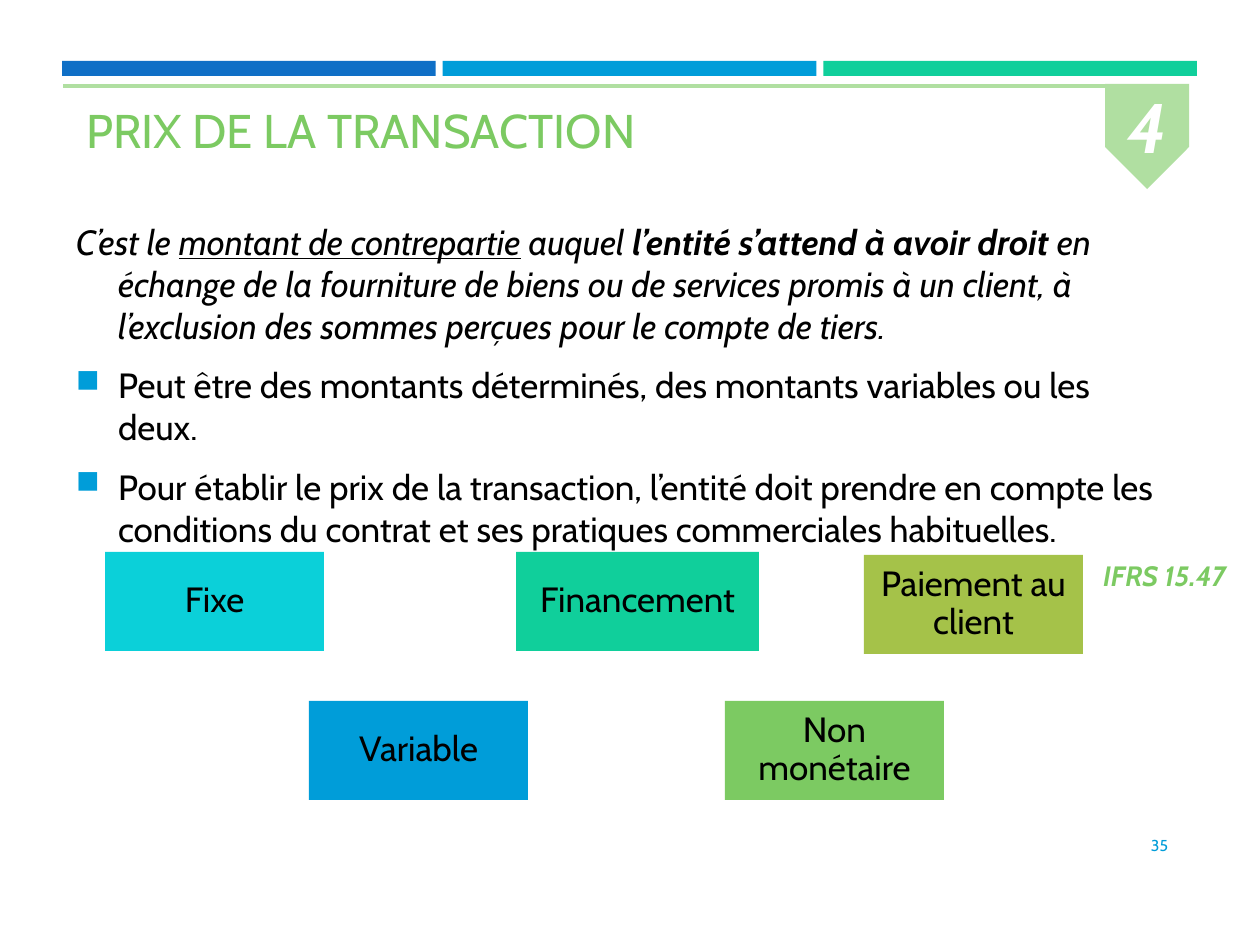
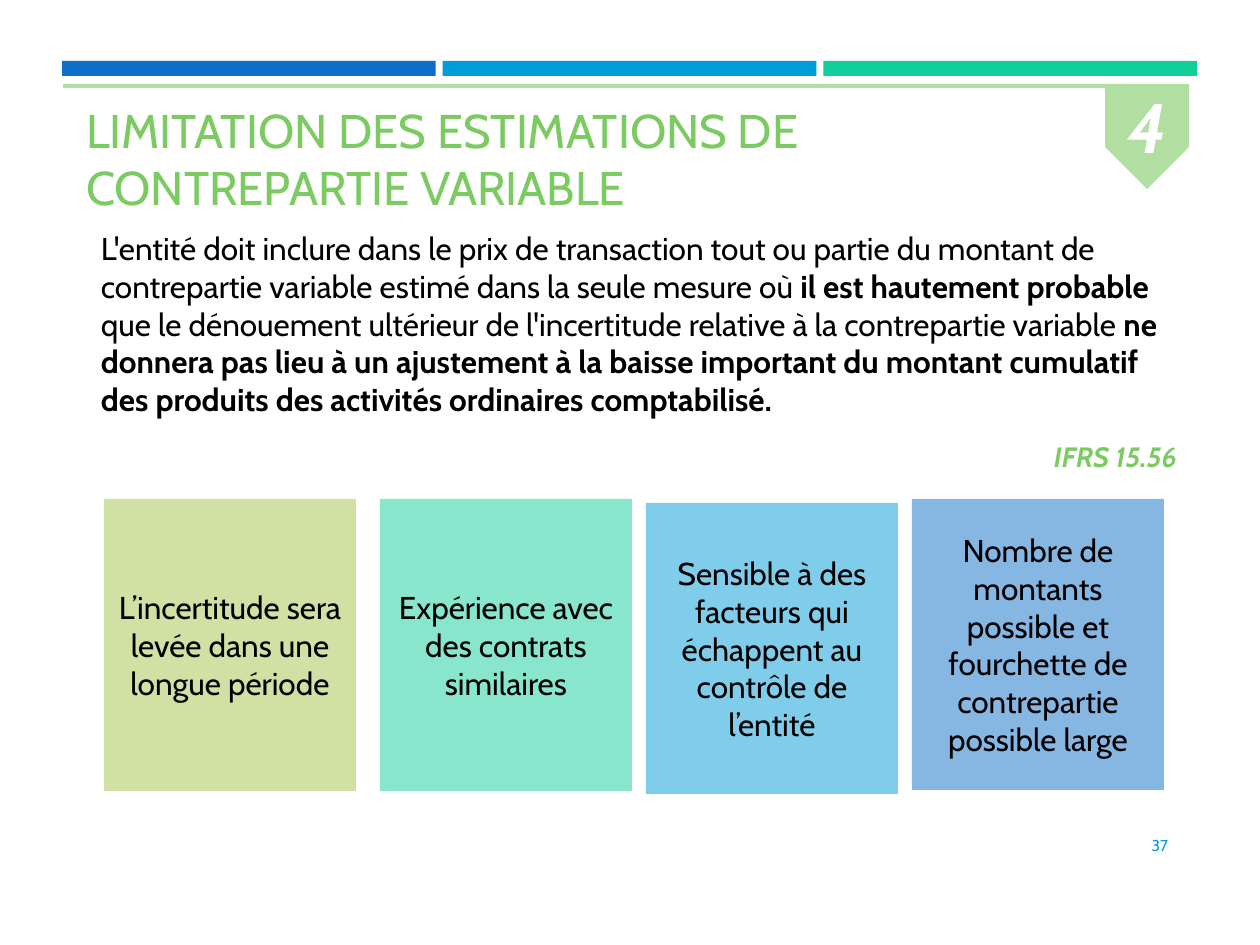
from dataclasses import dataclass
from lxml import etree
from pptx import Presentation
from pptx import util as u
from pptx.dml import color
from pptx.enum import shapes, text
from pptx.oxml import ns


@dataclass(frozen=True)
class Theme:
    font: str = "Cabin"
    black: str = "000000"
    white: str = "FFFFFF"
    navy: str = "0F6FC6"
    blue: str = "009DD9"
    mint: str = "10CF9B"
    cyan: str = "0BD0D9"
    olive: str = "A5C249"
    green: str = "7CCA62"
    pale: str = "B0DFA1"
    title: int = 27
    body: int = 20
    card: int = 18
    cite: int = 16
    badge: int = 40
    page: int = 9


T = Theme()
MID = text.MSO_ANCHOR.MIDDLE
TOP = text.MSO_ANCHOR.TOP
LEFT, CENTER, RIGHT = text.PP_ALIGN.LEFT, text.PP_ALIGN.CENTER, text.PP_ALIGN.RIGHT


def px(n):
    return u.Emu(round(n * 914400 / 126))


def rgb(hue):
    return color.RGBColor.from_string(hue)


def sub(node, tag, **attrs):
    return etree.SubElement(node, ns.qn(tag), attrs)


def write(shape, paras, size=T.body, hue=T.black, align=LEFT, anchor=TOP,
          pad=(13, 6), bold=False, italic=False, line=None, before=0, after=0,
          hang=0, bullets=()):
    frame = shape.text_frame
    frame.word_wrap = True
    frame.vertical_anchor = anchor
    frame.margin_left = frame.margin_right = px(pad[0])
    frame.margin_top = frame.margin_bottom = px(pad[1])
    paras = [paras] if isinstance(paras, str) else paras
    for i, runs in enumerate(paras):
        para = frame.add_paragraph() if i else frame.paragraphs[0]
        props = para._p.get_or_add_pPr()
        if hang:
            props.set("marL", str(px(hang)))
            props.set("indent", str(-px(hang)))
        if i in bullets:
            sub(sub(props, "a:buClr"), "a:srgbClr", val=T.blue)
            sub(props, "a:buSzPct", val="92000")
            sub(props, "a:buChar", char="■")
        para.alignment = align
        para.space_after = u.Pt(after)
        if i:
            para.space_before = u.Pt(before)
        if line:
            para.line_spacing = line
        for words, style in [(runs, "")] if isinstance(runs, str) else runs:
            run = para.add_run()
            run.text = words
            font = run.font
            font.name, font.size = T.font, u.Pt(size)
            font.color.rgb = rgb(hue)
            font.bold = bold or "b" in style
            font.italic = italic or "i" in style
            font.underline = "u" in style


def label(slide, box, paras, **form):
    write(slide.shapes.add_textbox(*map(px, box)), paras, **form)


def block(slide, box, hue, kind=shapes.MSO_SHAPE.RECTANGLE, alpha=None):
    shape = slide.shapes.add_shape(kind, *map(px, box))
    shape.shadow.inherit = False
    shape.fill.solid()
    shape.fill.fore_color.rgb = rgb(hue)
    shape.line.fill.background()
    if alpha:
        fill = shape._element.spPr.find(ns.qn("a:solidFill"))
        sub(fill[0], "a:alpha", val=str(alpha * 1000))
    return shape


def card(slide, box, hue, words, alpha=None, **form):
    write(block(slide, box, hue, alpha=alpha), words,
          align=CENTER, anchor=MID, **form)


def bands(slide, box):
    left, top, wide, high = box
    gap = 7
    each = (wide - 2 * gap) / 3
    for i, hue in enumerate((T.navy, T.blue, T.mint)):
        block(slide, (left + i * (each + gap), top, each, high), hue)


def badge(slide, box, step):
    left, top, wide, high = box
    shape = block(slide, (left + (wide - high) / 2, top + (high - wide) / 2, high, wide),
                  T.pale, shapes.MSO_SHAPE.PENTAGON)
    shape.rotation = 90
    label(slide, (left, top, wide, wide), step, size=T.badge, hue=T.white,
          align=CENTER, pad=(0, 0), bold=True, italic=True)


def rule(slide, left, top, wide):
    line = slide.shapes.add_connector(
        shapes.MSO_CONNECTOR.STRAIGHT, px(left), px(top), px(left + wide), px(top))
    line.line.color.rgb = rgb(T.pale)
    line.line.width = u.Pt(2.25)
    sub(line._element.spPr, "a:effectLst")


def base(deck, title, page):
    slide = deck.slides.add_slide(deck.slide_layouts[6])
    bands(slide, (62, 61, 1135, 15))
    label(slide, (73, 95, 1014, 95), title, size=T.title, hue=T.green)
    badge(slide, (1105, 84, 84, 105), "4")
    rule(slide, 63, 86, 1084)
    label(slide, (1075, 820, 106, 50), page, size=T.page, hue=T.blue,
          align=RIGHT, anchor=MID)
    return slide


def cite(slide, left, top, words):
    label(slide, (left, top, 169, 53), words, size=T.cite, hue=T.green,
          align=CENTER, anchor=MID, bold=True, italic=True)


def price(deck):
    slide = base(deck, "PRIX DE LA TRANSACTION", "35")
    label(slide, (63, 214, 1125, 510), [
        [("C’est le ", "i"), ("montant de contrepartie", "iu"), (" auquel ", "i"),
         ("l’entité s’attend à avoir droit", "ib"),
         (" en échange de la fourniture de biens ou de services promis à un client, "
          "à l’exclusion des sommes perçues pour le compte de tiers.", "i")],
        "Peut être des montants déterminés, des montants variables ou les deux.",
        "Pour établir le prix de la transaction, l’entité doit prendre en compte "
        "les conditions du contrat et ses pratiques commerciales habituelles.",
    ], before=4, after=6, hang=42, bullets=(1, 2))
    cite(slide, 1080, 549, "IFRS 15.47")
    for left, top, wide, hue, words in (
        (309, 701, 219, T.blue, "Variable"),
        (105, 552, 219, T.cyan, "Fixe"),
        (516, 552, 243, T.mint, "Financement"),
        (725, 701, 219, T.green, "Non monétaire"),
        (864, 555, 219, T.olive, "Paiement au client"),
    ):
        card(slide, (left, top, wide, 99), hue, words, pad=(10, 10), line=0.9)


def limit(deck):
    slide = base(deck, "LIMITATION DES ESTIMATIONS DE CONTREPARTIE VARIABLE", "37")
    cite(slide, 1031, 430, "IFRS 15.56")
    label(slide, (88, 223, 1094, 246), [[
        ("L'entité doit inclure dans le prix de transaction tout ou partie du montant "
         "de contrepartie variable estimé dans la seule mesure où ", ""),
        ("il est hautement probable", "b"),
        (" que le dénouement ultérieur de l'incertitude relative à la contrepartie "
         "variable ", ""),
        ("ne donnera pas lieu à un ajustement à la baisse important du montant "
         "cumulatif des produits des activités ordinaires comptabilisé.", "b"),
    ]], size=T.card)
    for left, top, high, hue, words in (
        (104, 499, 292, T.olive, "L’incertitude sera levée dans une longue période"),
        (380, 499, 292, T.mint, "Expérience avec des contrats similaires"),
        (646, 503, 291, T.blue,
         "Sensible à des facteurs qui échappent au contrôle de l’entité"),
        (912, 499, 291, T.navy,
         "Nombre de montants possible et fourchette de contrepartie possible large"),
    ):
        card(slide, (left, top, 252, high), hue, words, alpha=50, size=T.card)


def main():
    deck = Presentation()
    deck.slide_width, deck.slide_height = px(1260), px(945)
    price(deck)
    limit(deck)
    deck.save("out.pptx")


if __name__ == "__main__":
    main()
